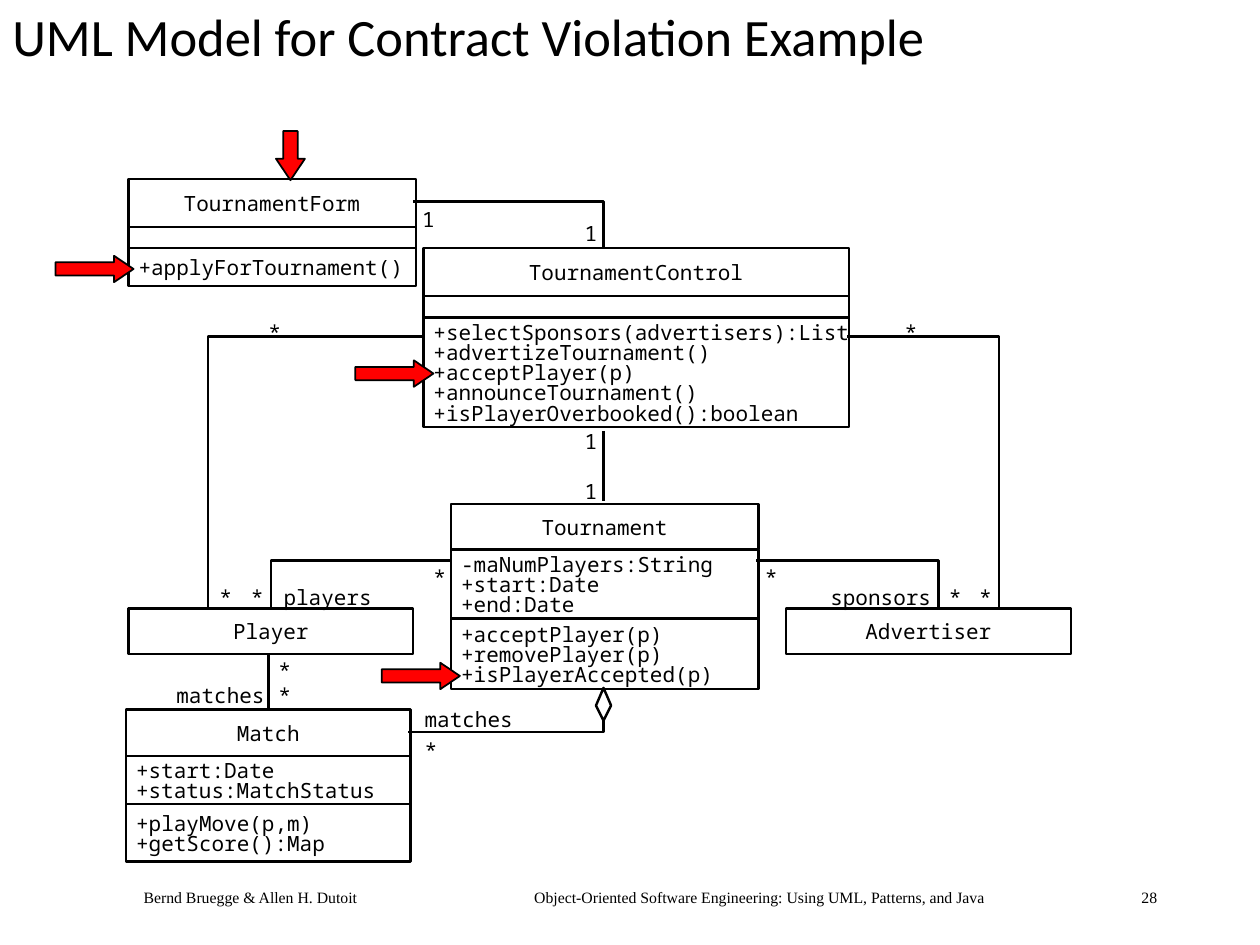
from collections import namedtuple
from dataclasses import dataclass

from lxml import etree
from pptx import Presentation
from pptx.dml.color import RGBColor
from pptx.enum.shapes import MSO_CONNECTOR, MSO_SHAPE
from pptx.enum.text import MSO_ANCHOR, MSO_AUTO_SIZE
from pptx.oxml.ns import qn
from pptx.util import Pt

PX = 9144
RECTANGLE = MSO_SHAPE.RECTANGLE
RIGHT_ARROW = MSO_SHAPE.RIGHT_ARROW
STRAIGHT = MSO_CONNECTOR.STRAIGHT
MIDDLE = MSO_ANCHOR.MIDDLE
GROW = MSO_AUTO_SIZE.SHAPE_TO_FIT_TEXT

CHARACTER_WIDTH = 10.03
TEXT_HEIGHT = 20
LINE_PITCH = 16
TEXT_INDENT = 8

Box = namedtuple("Box", "left top width height")


@dataclass(frozen=True)
class Theme:
    ink: RGBColor = RGBColor(0, 0, 0)
    paper: RGBColor = RGBColor(255, 255, 255)
    marker: RGBColor = RGBColor(255, 0, 0)
    title_font: str = "Calibri"
    title_size: int = 30
    code_font: str = "Noto Sans Mono"
    code_size: int = 12
    footer_font: str = "Times New Roman"
    footer_size: int = 9
    diagram_line: float = 1.39
    marker_line: float = 1


THEME = Theme()

CLASSES = [
    (2, 0, 228, [(38, ["TournamentForm"]), (17, []), (30, ["+applyForTournament()"])]),
    (236, 55, 338, [
        (38, ["TournamentControl"]),
        (17, []),
        (87, ["+selectSponsors(advertisers):List", "+advertizeTournament()",
              "+acceptPlayer(p)", "+announceTournament()",
              "+isPlayerOverbooked():boolean"]),
    ]),
    (258, 258, 244, [
        (36, ["Tournament"]),
        (55, ["-maNumPlayers:String", "+start:Date", "+end:Date"]),
        (56, ["+acceptPlayer(p)", "+removePlayer(p)", "+isPlayerAccepted(p)"]),
    ]),
    (2, 341, 226, [(36, ["Player"])]),
    (524, 341, 226, [(36, ["Advertiser"])]),
    (0, 421, 226, [
        (37, ["Match"]),
        (38, ["+start:Date", "+status:MatchStatus"]),
        (46, ["+playMove(p,m)", "+getScore():Map"]),
    ]),
]

ELBOWS = [
    [(228, 18), (379, 18), (379, 55)],
    [(65, 341), (65, 125), (236, 125)],
    [(693, 341), (693, 125), (572, 125)],
    [(115, 341), (115, 303), (258, 303)],
    [(645, 341), (645, 303), (500, 303)],
    [(224, 439), (379, 439), (379, 408)],
]
STRAIGHT_LINES = [(379, 200, 379, 256), (113, 421, 113, 377)]
AGGREGATION = [(373, 418), (379, 404), (385, 418), (379, 430)]

LABELS = {
    "1": [(235, 22), (364, 33), (364, 198), (364, 238)],
    "*": [(113, 112), (618, 112), (244, 306), (507, 306), (74, 322), (99, 322),
          (653, 322), (677, 322), (121, 380), (121, 400), (237, 443)],
    "players": [(125, 322)],
    "sponsors": [(559, 322)],
    "matches": [(40, 400), (237, 419)],
}

MARKERS = [
    (Box(203, 384, 62, 21), 0),
    (Box(182, 144, 62, 21), 0),
    (Box(111, -30, 39, 23), 90),
    (Box(-56, 61, 62, 21), 0),
]


def emu(*lengths):
    return [round(length * PX) for length in lengths]


def add_text(slide, box, text, font, size):
    shape = slide.shapes.add_textbox(*emu(*box))
    text_frame = shape.text_frame
    text_frame.text = text
    run_font = text_frame.paragraphs[0].runs[0].font
    run_font.name = font
    run_font.size = Pt(size)
    run_font.color.rgb = THEME.ink
    return text_frame


def add_code(slide, left, top, text):
    box = Box(left, top, CHARACTER_WIDTH * len(text), TEXT_HEIGHT)
    text_frame = add_text(slide, box, text, THEME.code_font, THEME.code_size)
    text_frame.margin_left = text_frame.margin_right = 0
    text_frame.margin_top = text_frame.margin_bottom = 0
    text_frame.word_wrap = False
    text_frame.auto_size = GROW


def style_shape(shape, fill=None, width=THEME.diagram_line):
    shape.shadow.inherit = False
    if fill is None:
        shape.fill.background()
    else:
        shape.fill.solid()
        shape.fill.fore_color.rgb = fill
    shape.line.color.rgb = THEME.ink
    shape.line.width = Pt(width)


def add_path(slide, box, points, closed=False, fill=None):
    moved = [(box.left + x, box.top + y) for x, y in points]
    builder = slide.shapes.build_freeform(*moved[0], scale=PX)
    builder.add_line_segments(moved[1:], close=closed)
    style_shape(builder.convert_to_shape(), fill)


def add_title(slide, box):
    text_frame = add_text(slide, box, "UML Model for Contract Violation Example",
                          THEME.title_font, THEME.title_size)
    text_frame.word_wrap = True
    text_frame.vertical_anchor = MIDDLE
    text_frame.paragraphs[0].line_spacing = 0.9


def add_footer(slide, box):
    parts = ["Bernd Bruegge & Allen H. Dutoit",
             "Object-Oriented Software Engineering: Using UML, Patterns, and Java",
             "28"]
    text_frame = add_text(slide, box, "\t".join(parts),
                          THEME.footer_font, THEME.footer_size)
    text_frame.word_wrap = True
    text_frame.margin_left = emu(56)[0]
    properties = text_frame.paragraphs[0]._p.get_or_add_pPr()
    tab_list = etree.SubElement(properties, qn("a:tabLst"))
    for position in emu(310, 792):
        etree.SubElement(tab_list, qn("a:tab"), pos=str(position), algn="l")


def add_class(slide, left, top, width, sections):
    for index, (height, lines) in enumerate(sections):
        shape = slide.shapes.add_shape(RECTANGLE, *emu(left, top, width, height))
        style_shape(shape)
        text_height = TEXT_HEIGHT + LINE_PITCH * (len(lines) - 1)
        text_top = top + (height - text_height) / 2
        for row, line in enumerate(lines):
            centred = (width - CHARACTER_WIDTH * len(line)) / 2
            indent = centred if index == 0 else TEXT_INDENT
            add_code(slide, left + indent, text_top + row * LINE_PITCH, line)
        top += height


def add_associations(slide, box):
    for points in ELBOWS:
        add_path(slide, box, points)
    for x1, y1, x2, y2 in STRAIGHT_LINES:
        ends = emu(box.left + x1, box.top + y1, box.left + x2, box.top + y2)
        connector = slide.shapes.add_connector(STRAIGHT, *ends)
        connector.line.color.rgb = THEME.ink
        connector.line.width = Pt(THEME.diagram_line)
        etree.SubElement(connector._element.spPr, qn("a:effectLst"))
    add_path(slide, box, AGGREGATION, closed=True, fill=THEME.paper)
    for text, places in LABELS.items():
        for x, y in places:
            add_code(slide, box.left + x, box.top + y, text)


def add_markers(slide, box):
    for marker, rotation in MARKERS:
        place = emu(box.left + marker.left, box.top + marker.top,
                    marker.width, marker.height)
        arrow = slide.shapes.add_shape(RIGHT_ARROW, *place)
        arrow.adjustments[0] = 0.5
        arrow.adjustments[1] = 0.74
        arrow.rotation = rotation
        style_shape(arrow, THEME.marker, THEME.marker_line)


def add_diagram(slide, box):
    for left, top, width, sections in CLASSES:
        add_class(slide, box.left + left, box.top + top, width, sections)
    add_associations(slide, box)
    add_markers(slide, box)


def main():
    presentation = Presentation()
    presentation.slide_width, presentation.slide_height = emu(1000, 750)
    slide = presentation.slides.add_slide(presentation.slide_layouts[6])
    add_footer(slide, Box(58, 700, 917, 25))
    add_title(slide, Box(0, 10, 863, 43))
    add_diagram(slide, Box(100, 142, 750, 542))
    presentation.save("out.pptx")


if __name__ == "__main__":
    main()
